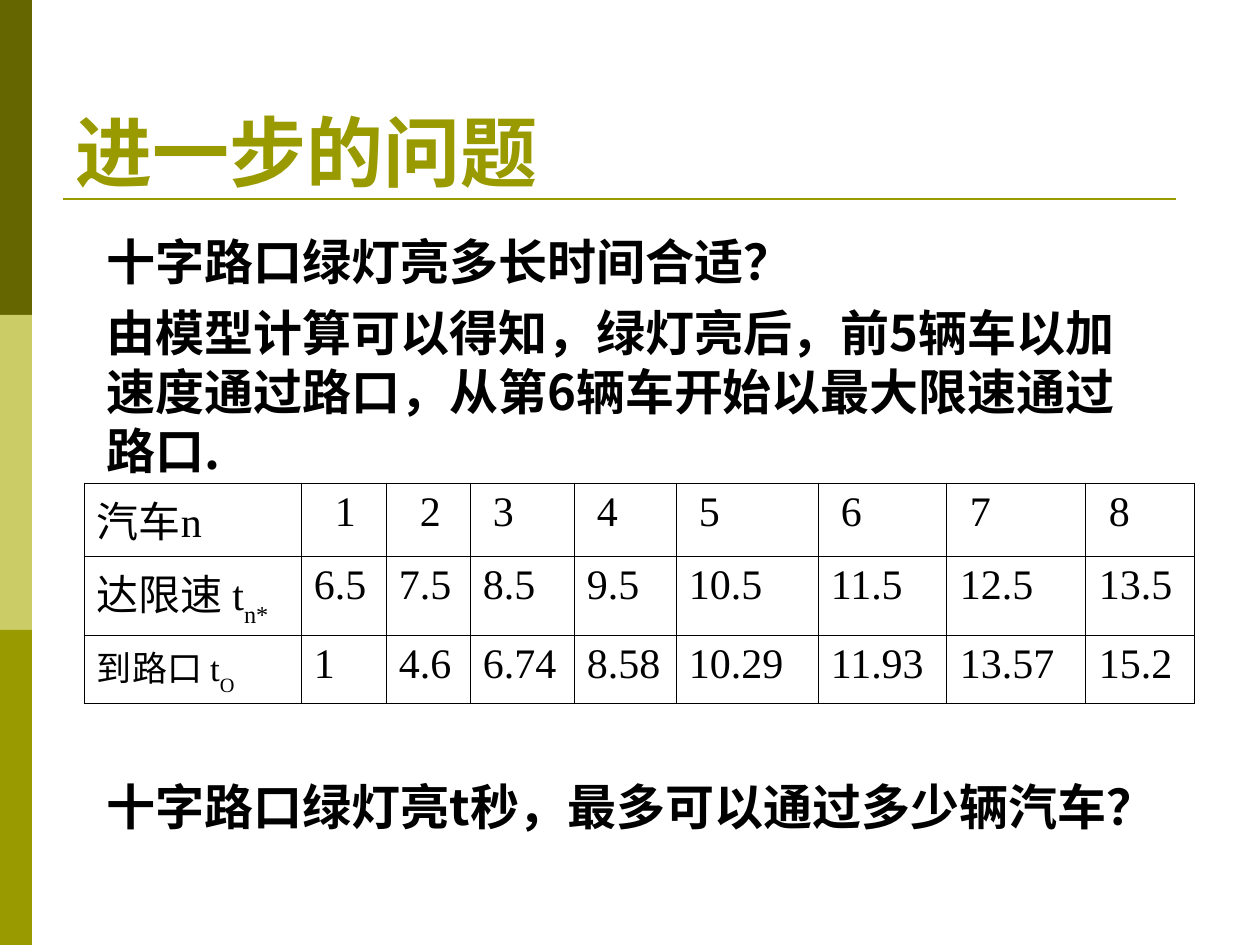
from dataclasses import dataclass

from lxml import etree
from pptx import Presentation
from pptx.dml.color import RGBColor
from pptx.enum.shapes import MSO_CONNECTOR, MSO_SHAPE
from pptx.enum.text import MSO_ANCHOR
from pptx.oxml.ns import qn
from pptx.util import Emu, Pt

RECT = MSO_SHAPE.RECTANGLE
STRAIGHT = MSO_CONNECTOR.STRAIGHT
TOP, BOTTOM = MSO_ANCHOR.TOP, MSO_ANCHOR.BOTTOM

EMU_PER_PX = 914400 / 126
CJK, LATIN = "Noto Sans CJK SC", "Times New Roman"
COLORS = {
    "dark": "666600",
    "light": "CCCC66",
    "olive": "999900",
    "black": "000000",
}


def px(n: int) -> Emu:
    return Emu(round(n * EMU_PER_PX))


def rgb(name: str) -> RGBColor:
    return RGBColor.from_string(COLORS[name])


@dataclass
class TextBlock:
    x: int
    y: int
    w: int
    h: int
    paragraphs: list[str]
    size: int
    color: str = "black"
    anchor: MSO_ANCHOR = TOP
    line_pt: float | None = None


@dataclass
class Piece:
    text: str
    font: str = LATIN
    size: int = 24
    subscript: bool = False


def style_run(r, font: str, size: int, color: str, bold: bool = False) -> None:
    r.font.name = font
    r.font.size = Pt(size)
    r.font.bold = bold
    r.font.color.rgb = rgb(color)
    ea = etree.SubElement(r._r.get_or_add_rPr(), qn("a:ea"))
    ea.set("typeface", font)


def draw_band(slide, y: int, color: str) -> None:
    sp = slide.shapes.add_shape(RECT, 0, px(y), px(32), px(315))
    sp.shadow.inherit = False
    sp.fill.solid()
    sp.fill.fore_color.rgb = rgb(color)
    sp.line.fill.background()


def draw_rule(slide) -> None:
    line = slide.shapes.add_connector(STRAIGHT, px(63), px(199), px(1176), px(199))
    line.line.color.rgb = rgb("olive")
    line.line.width = Pt(1.5)
    etree.SubElement(line._element.spPr, qn("a:effectLst"))


def draw_text(slide, block: TextBlock) -> None:
    sp = slide.shapes.add_textbox(px(block.x), px(block.y), px(block.w), px(block.h))
    tf = sp.text_frame
    tf.word_wrap = True
    tf.vertical_anchor = block.anchor
    tf.margin_left = tf.margin_right = tf.margin_top = tf.margin_bottom = 0
    tf.text = "\n".join(block.paragraphs)
    for i, p in enumerate(tf.paragraphs):
        if i:
            p.space_before = Pt(7)
        if block.line_pt:
            p.line_spacing = Pt(block.line_pt)
        for r in p.runs:
            style_run(r, CJK, block.size, block.color, bold=True)


def set_borders(cell) -> None:
    tc_pr = cell._tc.get_or_add_tcPr()
    for i, side in enumerate(("lnL", "lnR", "lnT", "lnB")):
        ln = etree.Element(qn(f"a:{side}"), w=str(Pt(0.45)))
        fill = etree.SubElement(ln, qn("a:solidFill"))
        etree.SubElement(fill, qn("a:srgbClr"), val=COLORS["black"])
        tc_pr.insert(i, ln)


def fill_cell(cell, pieces: list[Piece], indent: int) -> None:
    cell.margin_left = px(13 + indent)
    cell.margin_right = px(13)
    cell.margin_top = cell.margin_bottom = px(6)
    cell.fill.background()
    set_borders(cell)
    p = cell.text_frame.paragraphs[0]
    for piece in pieces:
        r = p.add_run()
        r.text = piece.text
        style_run(r, piece.font, piece.size, "black")
        if piece.subscript:
            r._r.get_or_add_rPr().set("baseline", "-30000")


# Table content
COL_WIDTHS = [217, 85, 84, 104, 102, 142, 129, 139, 109]
ROW_HEIGHTS = [73, 79, 68]
HEADS = [
    [Piece("汽车", CJK), Piece("n")],
    [Piece("达限速 ", CJK), Piece("t"), Piece("n*", subscript=True)],
    [Piece("到路口 ", CJK, 20), Piece("t", size=20), Piece("O", size=20, subscript=True)],
]
VALUES = [
    [str(n) for n in range(1, 9)],
    [f"{n + 5.5}" for n in range(1, 9)],
    ["1", "4.6", "6.74", "8.58", "10.29", "11.93", "13.57", "15.2"],
]
CAR_INDENTS = [21, 21] + [10] * 6


def draw_table(slide) -> None:
    table = slide.shapes.add_table(
        len(ROW_HEIGHTS), len(COL_WIDTHS), px(84), px(483),
        px(sum(COL_WIDTHS)), px(sum(ROW_HEIGHTS)),
    ).table
    table.first_row = table.horz_banding = False
    for col, width in zip(table.columns, COL_WIDTHS):
        col.width = px(width)
    for i, height in enumerate(ROW_HEIGHTS):
        table.rows[i].height = px(height)
        fill_cell(table.cell(i, 0), HEADS[i], 0)
        for j, value in enumerate(VALUES[i]):
            indent = CAR_INDENTS[j] if i == 0 else 0
            fill_cell(table.cell(i, j + 1), [Piece(value)], indent)


TEXTS = [
    TextBlock(76, 40, 1108, 157, ["进一步的问题"], 44, "olive", BOTTOM),
    TextBlock(107, 231, 1056, 250, [
        "十字路口绿灯亮多长时间合适？",
        "由模型计算可以得知，绿灯亮后，前5辆车以加速度通过路口，从第6辆车开始以最大限速通过路口.",
    ], 28, line_pt=33.7),
    TextBlock(107, 776, 1056, 118, ["十字路口绿灯亮t秒，最多可以通过多少辆汽车？"], 28, line_pt=33.7),
]


def main() -> None:
    prs = Presentation()
    prs.slide_width, prs.slide_height = px(1260), px(945)
    slide = prs.slides.add_slide(prs.slide_layouts[6])

    # Side bands and title rule
    for i, color in enumerate(("dark", "light", "olive")):
        draw_band(slide, 315 * i, color)
    draw_rule(slide)

    # Title, body and table
    for block in TEXTS:
        draw_text(slide, block)
    draw_table(slide)

    prs.save("out.pptx")


if __name__ == "__main__":
    main()
